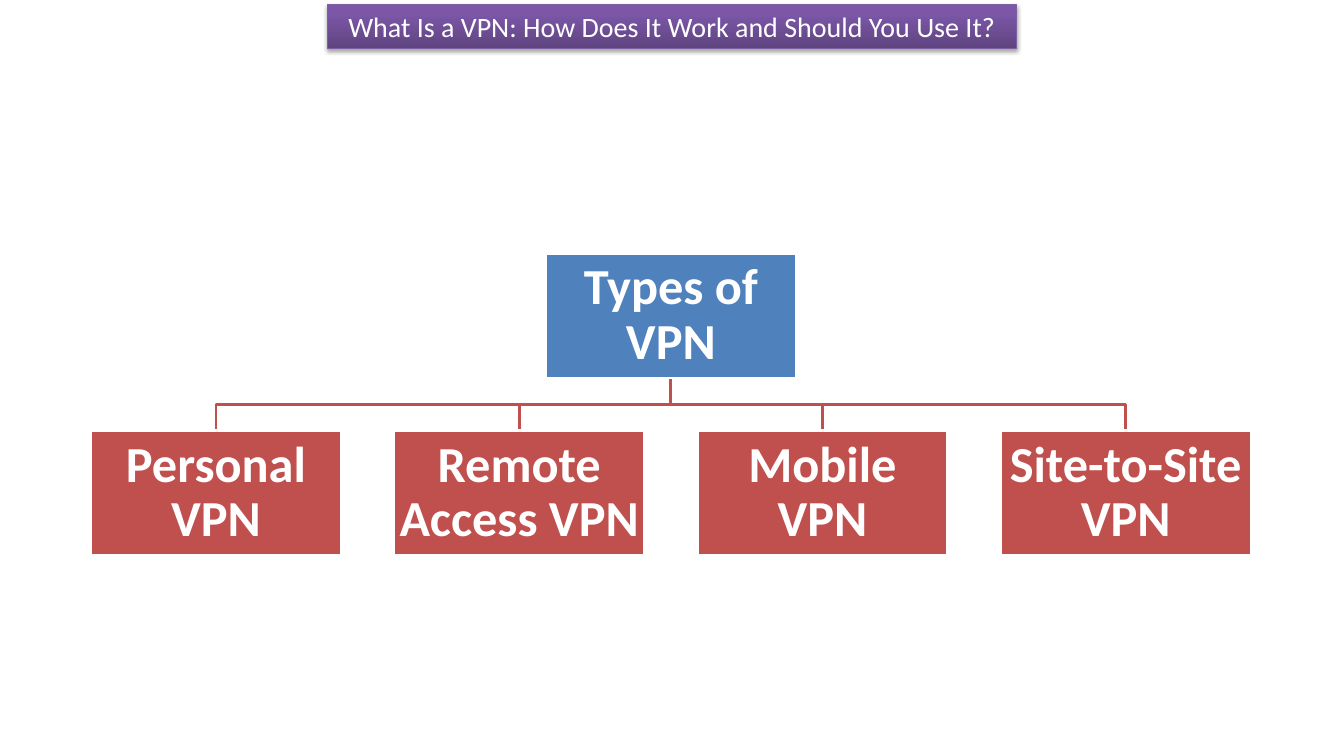
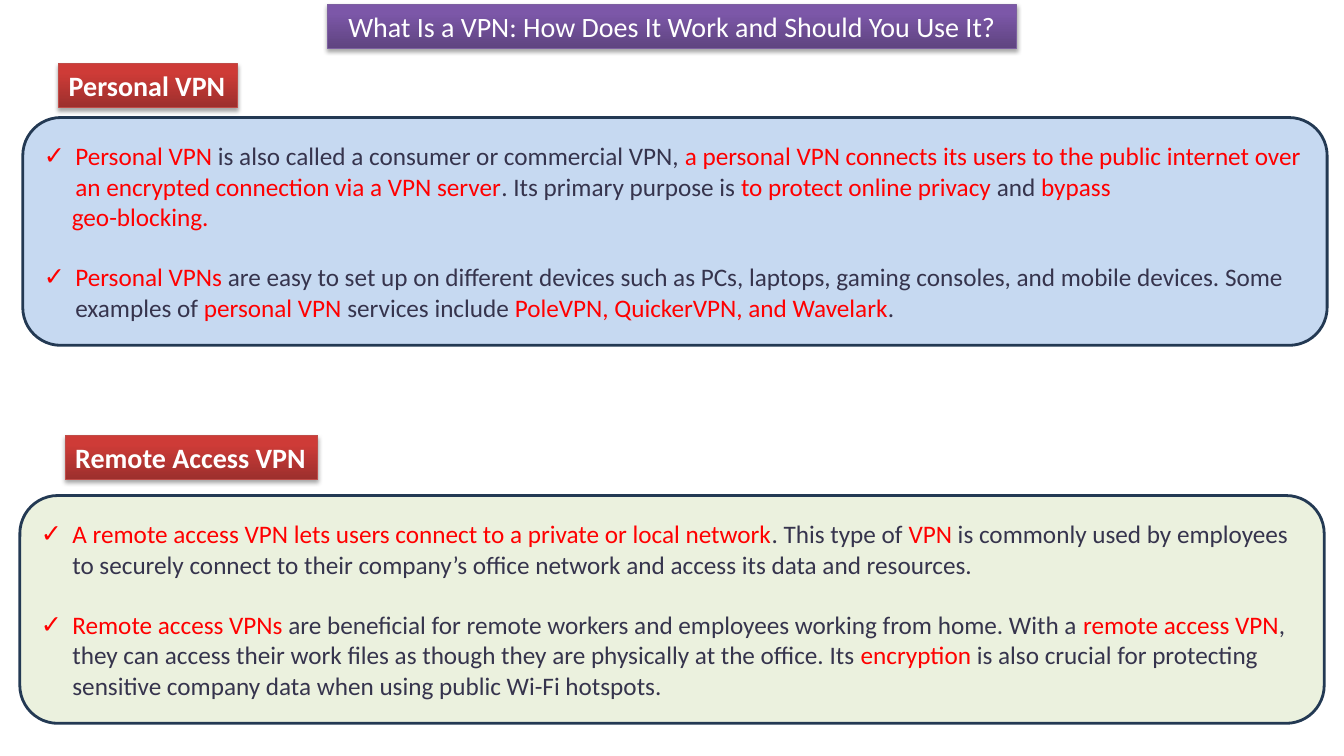
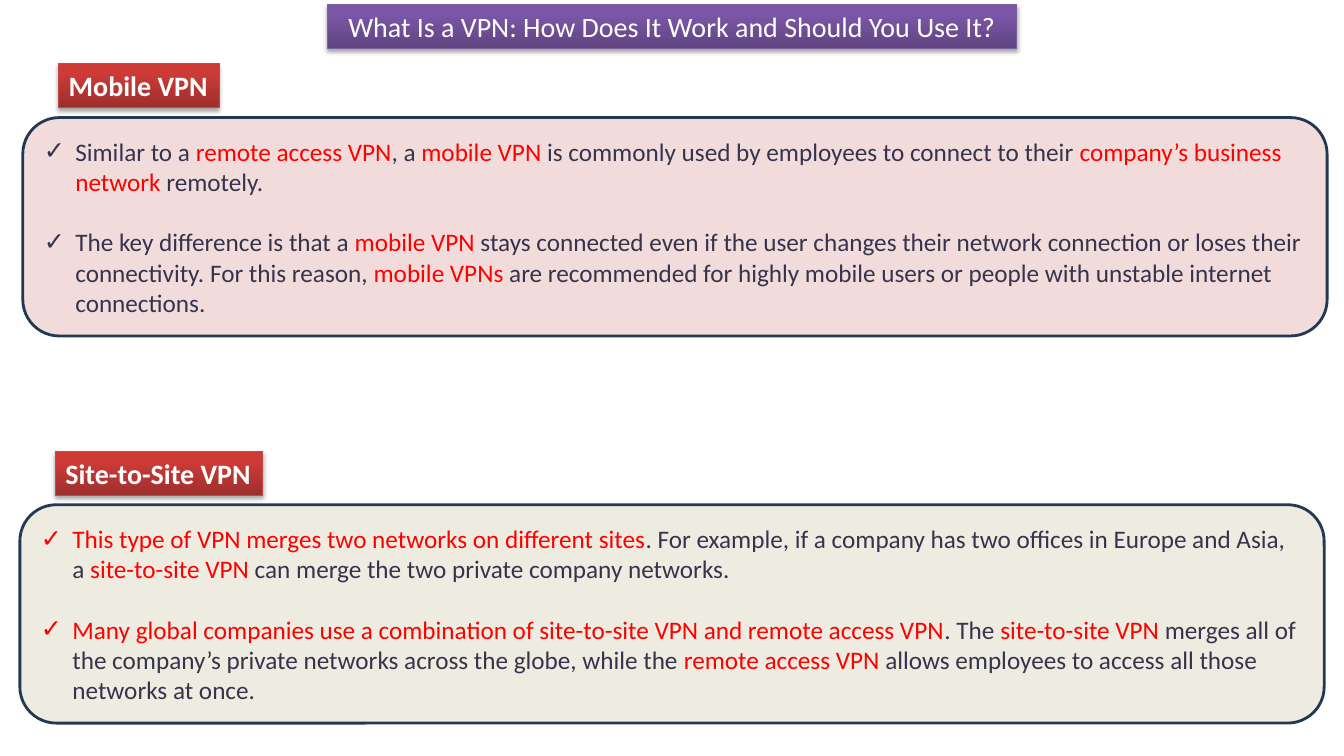
"""Build three slides on the types of VPN."""
from lxml.etree import SubElement
from pptx import Presentation
from pptx.dml.color import RGBColor
from pptx.enum.shapes import MSO_SHAPE as FORM
from pptx.enum.text import MSO_ANCHOR as ANCHOR, MSO_AUTO_SIZE as AUTO, PP_ALIGN as ALIGN
from pptx.oxml.ns import qn
from pptx.util import Pt

WHITE = RGBColor(0xFF, 0xFF, 0xFF)
INK = RGBColor(0x36, 0x34, 0x4D)
RED = RGBColor(0xFF, 0x00, 0x00)
NAVY = RGBColor(0x23, 0x39, 0x53)
BLUE = RGBColor(0x4F, 0x81, 0xBD)
BRICK = RGBColor(0xC0, 0x50, 0x4D)
SKY = RGBColor(0xC6, 0xD9, 0xF1)
LIME = RGBColor(0xEB, 0xF1, 0xDE)
ROSE = RGBColor(0xF2, 0xDC, 0xDB)
SAND = RGBColor(0xEE, 0xEC, 0xE1)
PLUM = (RGBColor(0x5F, 0x44, 0x80), RGBColor(0x7C, 0x57, 0xA8), RGBColor(0x7D, 0x60, 0xA0))
RUBY = (RGBColor(0x9C, 0x2F, 0x2D), RGBColor(0xCE, 0x3B, 0x37), RGBColor(0xBF, 0x4C, 0x48))
FONT = "Calibri"
TITLE = "What Is a VPN: How Does It Work and Should You Use It?"


def put(shape, text, size=20, color=WHITE, bold=False, align=ALIGN.LEFT, pad=(7.2, 3.6),
        wrap=True, lead=None, gap=0, mark=None):
    """Write lines of text; stars enclose red words, a plus starts an unmarked line."""
    frame = shape.text_frame
    frame.auto_size, frame.word_wrap = AUTO.NONE, wrap
    frame.vertical_anchor = ANCHOR.MIDDLE
    frame.margin_left = frame.margin_right = Pt(pad[0])
    frame.margin_top = frame.margin_bottom = Pt(pad[1])
    for row, line in enumerate(text.split("\n")):
        para = frame.add_paragraph() if row else frame.paragraphs[0]
        para.alignment, para.line_spacing = align, lead
        more = line.startswith("+")
        para.space_before = Pt(gap if row and not more else 0)
        if mark:
            props = para._p.get_or_add_pPr()
            props.set("marL", str(Pt(20 if more else 22.5)))
            props.set("indent", str(Pt(0 if more else -22.5)))
            if more:
                SubElement(props, qn("a:buNone"))
            else:
                SubElement(props, qn("a:buChar")).set("char", mark)
        for turn, part in enumerate(line.lstrip("+").split("*")):
            if part:
                run = para.add_run()
                run.text = part
                run.font.name, run.font.size, run.font.bold = FONT, Pt(size), bold
                run.font.color.rgb = RED if turn % 2 else color


def band(shape, tones):
    """Give a shape a shaded fill, a thin edge and a soft shadow."""
    shape.fill.gradient()
    shape.fill.gradient_angle = 90
    for stop, tone, spot in zip(shape.fill.gradient_stops, tones, (0, 0.8)):
        stop.color.rgb, stop.position = tone, spot
    shape.line.color.rgb, shape.line.width = tones[2], Pt(0.75)
    shape.shadow.inherit = False
    glow = SubElement(shape._element.spPr.find(qn("a:effectLst")), qn("a:outerShdw"),
                      blurRad=str(Pt(3.1)), dist=str(Pt(1.8)), dir="5400000", rotWithShape="0")
    shade = SubElement(glow, qn("a:srgbClr"), val="000000")
    SubElement(shade, qn("a:alpha"), val="35000")


deck = Presentation()
deck.slide_width, deck.slide_height = Pt(960), Pt(540)
pages = [deck.slides.add_slide(deck.slide_layouts[kind]) for kind in (5, 3, 3)]
for page in pages:
    head = page.shapes.title
    head.left, head.top, head.width, head.height = Pt(234), Pt(3), Pt(492), Pt(31.5)
    band(head, PLUM)
    put(head, TITLE, align=ALIGN.CENTER)

WIDE, HIGH, LEFT, STEP = 179, 89.2, 64.8, 216.6
TOP, BUS, ROW = 180.8, 288.75, 307.5
MID = LEFT + 1.5 * STEP + WIDE / 2
shapes = pages[0].shapes
types = ["Personal VPN", "Remote Access VPN", "Mobile VPN", "Site-to-Site VPN"]
kids = [(LEFT + n * STEP, ROW, BRICK, name) for n, name in enumerate(types)]
for x, *rest in reversed(kids):
    end = x + WIDE / 2
    path = shapes.build_freeform(Pt(MID), Pt(TOP + HIGH))
    turns = [(MID, BUS), (end, BUS), (end, ROW)]
    path.add_line_segments([(Pt(a), Pt(b)) for a, b in turns], close=False)
    branch = path.convert_to_shape()
    branch.fill.background()
    branch.line.color.rgb, branch.line.width = BRICK, Pt(2)
    branch.shadow.inherit = False

for x, y, tone, name in [(MID - WIDE / 2, TOP, BLUE, "Types of VPN")] + kids:
    box = shapes.add_shape(FORM.RECTANGLE, Pt(x), Pt(y), Pt(WIDE), Pt(HIGH))
    box.fill.solid()
    box.fill.fore_color.rgb = tone
    box.line.color.rgb, box.line.width = WHITE, Pt(2)
    box.shadow.inherit = False
    put(box, name, size=36, bold=True, align=ALIGN.CENTER, pad=(2, 2), lead=0.9)

parts = [
    (1, 1, types[0], (42, 45.5, 127.5), (16.3, 84, 162.7), SKY,
     "*Personal VPN* is also called a consumer or commercial VPN, *a personal VPN connects its "
     "users to the public internet over an encrypted connection via a VPN server*. Its primary "
     "purpose is *to protect online privacy* and *bypass*\n"
     "+*geo-blocking.*\n"
     "*Personal VPNs* are easy to set up on different devices such as PCs, laptops, gaming "
     "consoles, and mobile devices. Some examples of *personal VPN* services include "
     "*PoleVPN, QuickerVPN, and Wavelark*."),
    (1, 2, types[1], (46.6, 311, 180.5), (14.2, 354, 162.7), LIME,
     "*A remote access VPN lets users connect to a private or local network*. This type of *VPN* "
     "is commonly used by employees to securely connect to their company’s office network and "
     "access its data and resources.\n"
     "*Remote access VPNs* are beneficial for remote workers and employees working from home. "
     "With a *remote access VPN*, they can access their work files as though they are physically "
     "at the office. Its *encryption* is also crucial for protecting sensitive company data when "
     "using public Wi-Fi hotspots."),
    (2, 1, types[2], (42, 45.5, 114.5), (16.3, 84, 156), ROSE,
     "Similar to a *remote access VPN*, a *mobile VPN* is commonly used by employees to connect "
     "to their *company’s business network* remotely.\n"
     "The key difference is that a *mobile VPN* stays connected even if the user changes their "
     "network connection or loses their connectivity. For this reason, *mobile VPNs* are "
     "recommended for highly mobile users or people with unstable internet connections."),
    (2, 2, types[3], (39.6, 322.5, 148), (14.2, 360.5, 156), SAND,
     "*This type of VPN merges two networks on different sites*. For example, if a company has "
     "two offices in Europe and Asia, a *site-to-site VPN* can merge the two private company "
     "networks.\n"
     "*Many global companies use a combination of site-to-site VPN and remote access VPN*. The "
     "*site-to-site VPN* merges all of the company’s private networks across the globe, while "
     "the *remote access VPN* allows employees to access all those networks at once."),
]
for number, slot, name, (x, y, wide), (left, top, high), tone, text in parts:
    shapes = pages[number].shapes
    area = [Pt(left), Pt(top), Pt(931.7), Pt(high)]
    panel = shapes.add_shape(FORM.ROUNDED_RECTANGLE, *area)
    panel.fill.solid()
    panel.fill.fore_color.rgb = tone
    panel.line.color.rgb, panel.line.width = NAVY, Pt(2)
    panel.shadow.inherit = False
    shapes._spTree.insert(2, panel._element)
    body = pages[number].placeholders[slot]
    body.left, body.top, body.width, body.height = area
    put(body, text, size=18, color=INK, pad=(15, 3.6), gap=21.6, mark="✓")
    tag = shapes.add_shape(FORM.RECTANGLE, Pt(x), Pt(y), Pt(wide), Pt(31.5))
    band(tag, RUBY)
    put(tag, name, bold=True, wrap=False)

deck.save("out.pptx")
